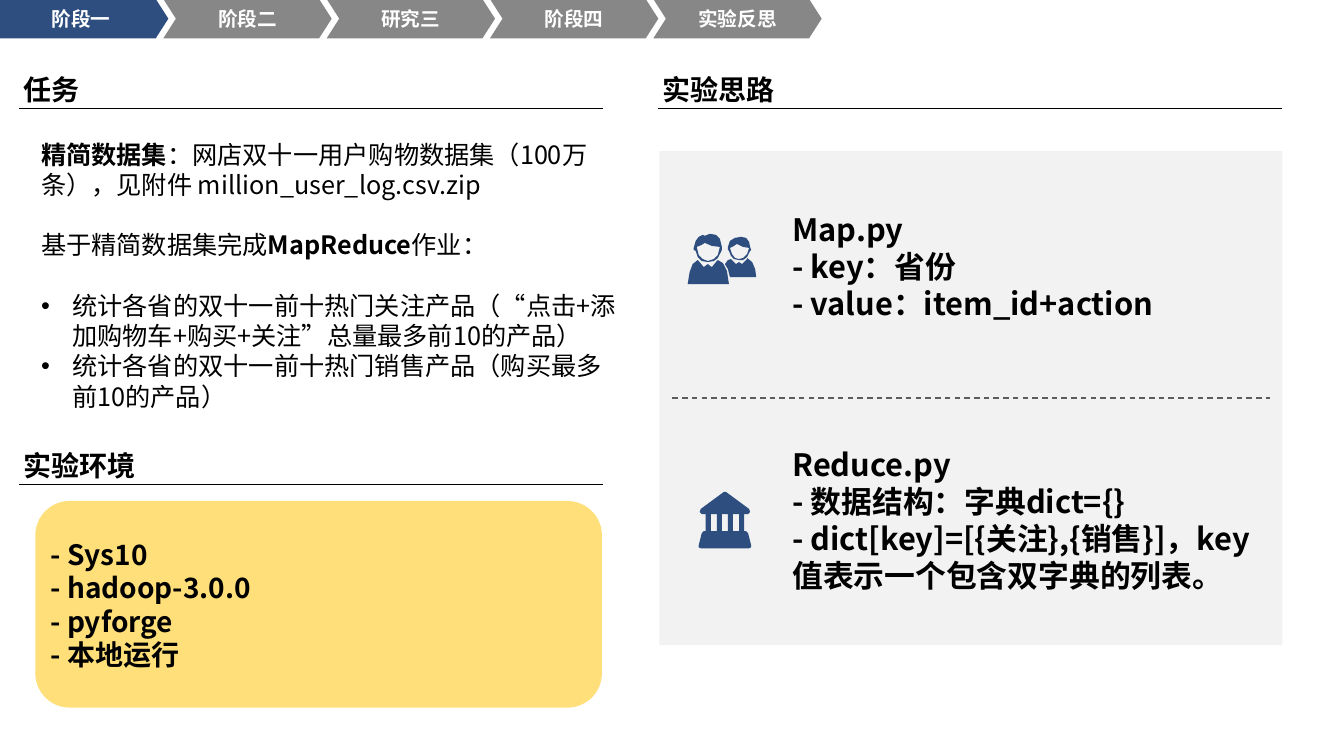
from pptx import Presentation
from pptx import util as u
from pptx.dml.color import RGBColor
from pptx.enum import dml, shapes, text
from pptx.oxml import ns
from lxml import etree

PX = 9144
SANS_SC = "Noto Sans CJK SC"
SANS_JP = "Noto Sans CJK JP"
COLORS = {
    "navy": "2D4E7F", "grey": "878787", "panel": "F2F2F2", "dash": "5C5C5C",
    "yellow": "FFDF79", "black": "000000", "white": "FFFFFF",
}
KIND = shapes.MSO_SHAPE
ANCHOR = text.MSO_ANCHOR
ALIGN = text.PP_ALIGN

PEOPLE = [
    [(10, 26), (11, 27), (16, 33), (20, 30), (24, 33), (29, 27), (30, 26), (35, 29),
     (39, 37), (41, 50), (0, 50), (2, 38), (5, 30)],
    [(59, 24), (64, 28), (67, 35), (68, 43), (42, 43), (40, 35), (37, 30), (40, 26),
     (43, 25), (48, 30), (51, 28), (54, 30), (59, 25)],
    [(49, 10), (46, 12), (42, 14), (44, 20), (47, 24), (51, 25), (55, 24), (59, 20),
     (61, 14), (55, 13)],
    [(17, 9), (14, 11), (9, 13), (11, 21), (15, 25), (20, 27), (26, 25), (30, 21),
     (32, 13), (24, 12)],
    [(53, 3), (58, 4), (61, 8), (62, 13), (63, 16), (62, 17), (59, 23), (55, 26),
     (51, 26), (46, 25), (43, 22), (41, 17), (40, 16), (40, 13), (42, 7), (47, 4)],
    [(22, 0), (28, 1), (32, 5), (34, 13), (34, 16), (33, 18), (30, 24), (26, 27),
     (20, 28), (14, 27), (10, 23), (8, 17), (6, 16), (6, 14), (8, 7), (11, 3),
     (15, 1), (17, 2)],
]
HALL = [
    [(53, 53), (50, 41), (48, 39), (46, 39), (46, 22), (50, 22), (52, 20), (51, 17),
     (28, 0), (26, 0), (3, 17), (2, 20), (4, 22), (8, 22), (8, 39), (6, 39), (4, 41),
     (1, 53), (1, 55), (3, 56), (51, 56), (53, 55)],
] + [[(x, 39), (x, 22), (x + 6, 22), (x + 6, 39)] for x in (13, 24, 35)]


def rgb(name):
    return RGBColor.from_string(COLORS[name])


def write(shape, paras, size=20, font=SANS_JP, color="black", bold=True, inset=4,
          anchor=ANCHOR.TOP, align=ALIGN.LEFT):
    frame = shape.text_frame
    frame.word_wrap = True
    frame.vertical_anchor = anchor
    frame.margin_left = frame.margin_right = inset * PX
    frame.margin_top = frame.margin_bottom = inset * PX
    for index, spans in enumerate(paras):
        para = frame.paragraphs[0] if index == 0 else frame.add_paragraph()
        para.alignment = align
        for words, strong in [(spans, bold)] if isinstance(spans, str) else spans:
            span = para.add_run()
            span.text = words
            span.font.size = u.Pt(size)
            span.font.name = font
            span.font.bold = strong
            span.font.color.rgb = rgb(color)
            east = etree.SubElement(span.font._element, ns.qn("a:ea"))
            east.set("typeface", font)
    return frame


def add_block(page, kind, box, fill):
    block = page.shapes.add_shape(kind, *(n * PX for n in box))
    block.shadow.inherit = False
    block.fill.solid()
    block.fill.fore_color.rgb = rgb(fill)
    block.line.fill.background()
    return block


def add_words(page, box, paras, **style):
    return write(page.shapes.add_textbox(*(n * PX for n in box)), paras, **style)


def add_rule(page, left, top, width, color="black", weight=0.75, dashed=False):
    rule = page.shapes.add_connector(
        shapes.MSO_CONNECTOR.STRAIGHT, left * PX, top * PX, (left + width) * PX, top * PX)
    rule.line.color.rgb = rgb(color)
    rule.line.width = u.Pt(weight)
    if dashed:
        rule.line.dash_style = dml.MSO_LINE.DASH
    etree.SubElement(rule._element.spPr, ns.qn("a:effectLst"))


def add_icon(page, left, top, outlines):
    builder = None
    for outline in outlines:
        points = [(left + x, top + y) for x, y in outline]
        if builder is None:
            builder = page.shapes.build_freeform(*points[0], scale=PX)
        else:
            builder.move_to(*points[0])
        builder.add_line_segments(points[1:], close=True)
    icon = builder.convert_to_shape()
    icon.shadow.inherit = False
    icon.fill.solid()
    icon.fill.fore_color.rgb = rgb("navy")
    icon.line.fill.background()


def stage_bar(page, left, top, stages):
    for index, stage in enumerate(stages):
        kind, fill = (KIND.CHEVRON, "grey") if index else (KIND.PENTAGON, "navy")
        step = add_block(page, kind, (left + index * 162, top, 167, 39), fill)
        step.adjustments[0] = 0.32
        write(step, [stage], size=14, font=SANS_SC, color="white", inset=0,
              anchor=ANCHOR.MIDDLE, align=ALIGN.CENTER)


def heading(page, left, top, width, title):
    add_words(page, (left, top, width, 42), [title], anchor=ANCHOR.BOTTOM)
    add_rule(page, left, top + 41, width)


def task_region(page, left, top, width):
    heading(page, left, top, width, "任务")
    frame = add_words(page, (left + 12, top + 66, 593, 283), [
        [("精简数据集", True),
         ("：网店双十一用户购物数据集（100万条），见附件 million_user_log.csv.zip", False)],
        [("基于精简数据集完成", False), ("MapReduce", True), ("作业：", False)],
        "统计各省的双十一前十热门关注产品（“点击+添加购物车+购买+关注”总量最多前10的产品）",
        "统计各省的双十一前十热门销售产品（购买最多前10的产品）",
    ], size=18, bold=False, inset=5)
    frame.margin_left = frame.margin_right = 10 * PX
    for para in frame.paragraphs[1:3]:
        para.space_before = u.Pt(21.6)
    for para in frame.paragraphs[2:]:
        props = para._p.get_or_add_pPr()
        props.set("marL", str(31 * PX))
        props.set("indent", str(-31 * PX))
        etree.SubElement(props, ns.qn("a:buFont")).set("typeface", "Arial")
        etree.SubElement(props, ns.qn("a:buChar")).set("char", "•")


def environment_region(page, left, top, width):
    heading(page, left, top, width, "实验环境")
    card = add_block(page, KIND.ROUNDED_RECTANGLE,
                     (left + 16, top + 57, width - 17, 205), "yellow")
    write(card, ["- Sys10", "- hadoop-3.0.0", "- pyforge", "- 本地运行"],
          inset=5, anchor=ANCHOR.MIDDLE)


def idea_region(page, left, top, width):
    heading(page, left, top, width, "实验思路")
    add_block(page, KIND.RECTANGLE, (left + 1, top + 83, width - 1, 490), "panel")
    add_rule(page, left + 14, top + 328, width - 26, "dash", 1, dashed=True)
    add_icon(page, left + 29, top + 165, PEOPLE)
    add_icon(page, left + 39, top + 421, HALL)
    add_words(page, (left + 129, top + 138, 473, 118),
              ["Map.py", "- key：省份", "- value：item_id+action"], size=22)
    add_words(page, (left + 129, top + 371, 473, 155),
              ["Reduce.py", "- 数据结构：字典dict={}",
               "- dict[key]=[{关注},{销售}]，key值表示一个包含双字典的列表。"], size=22)


def main():
    deck = Presentation()
    deck.slide_width, deck.slide_height = 1333 * PX, 750 * PX
    page = deck.slides.add_slide(deck.slide_layouts[6])
    stage_bar(page, 0, -1, ["阶段一", "阶段二", "研究三", "阶段四", "实验反思"])
    idea_region(page, 653, 67, 619)
    task_region(page, 19, 67, 579)
    environment_region(page, 19, 440, 579)
    deck.save("out.pptx")


if __name__ == "__main__":
    main()
